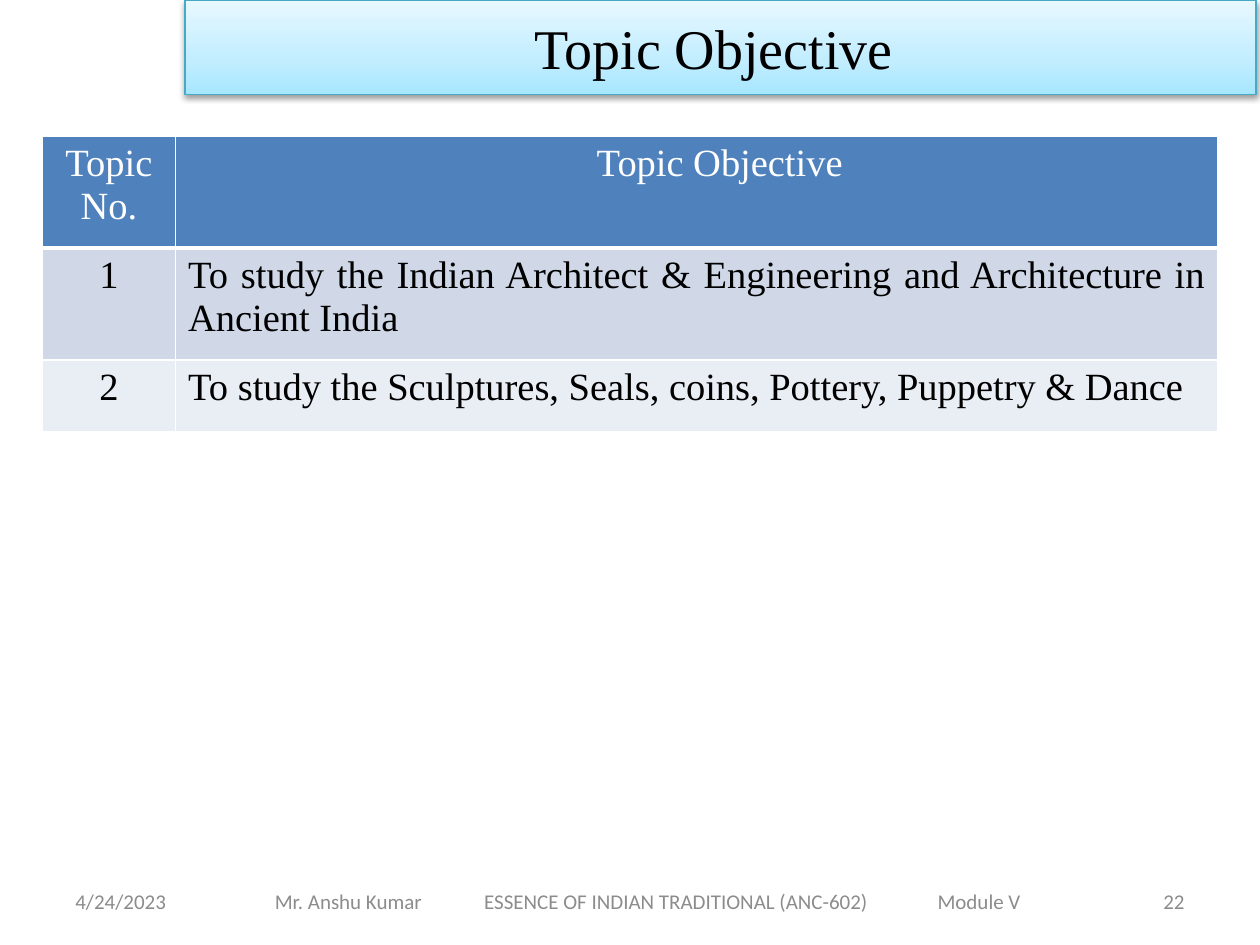
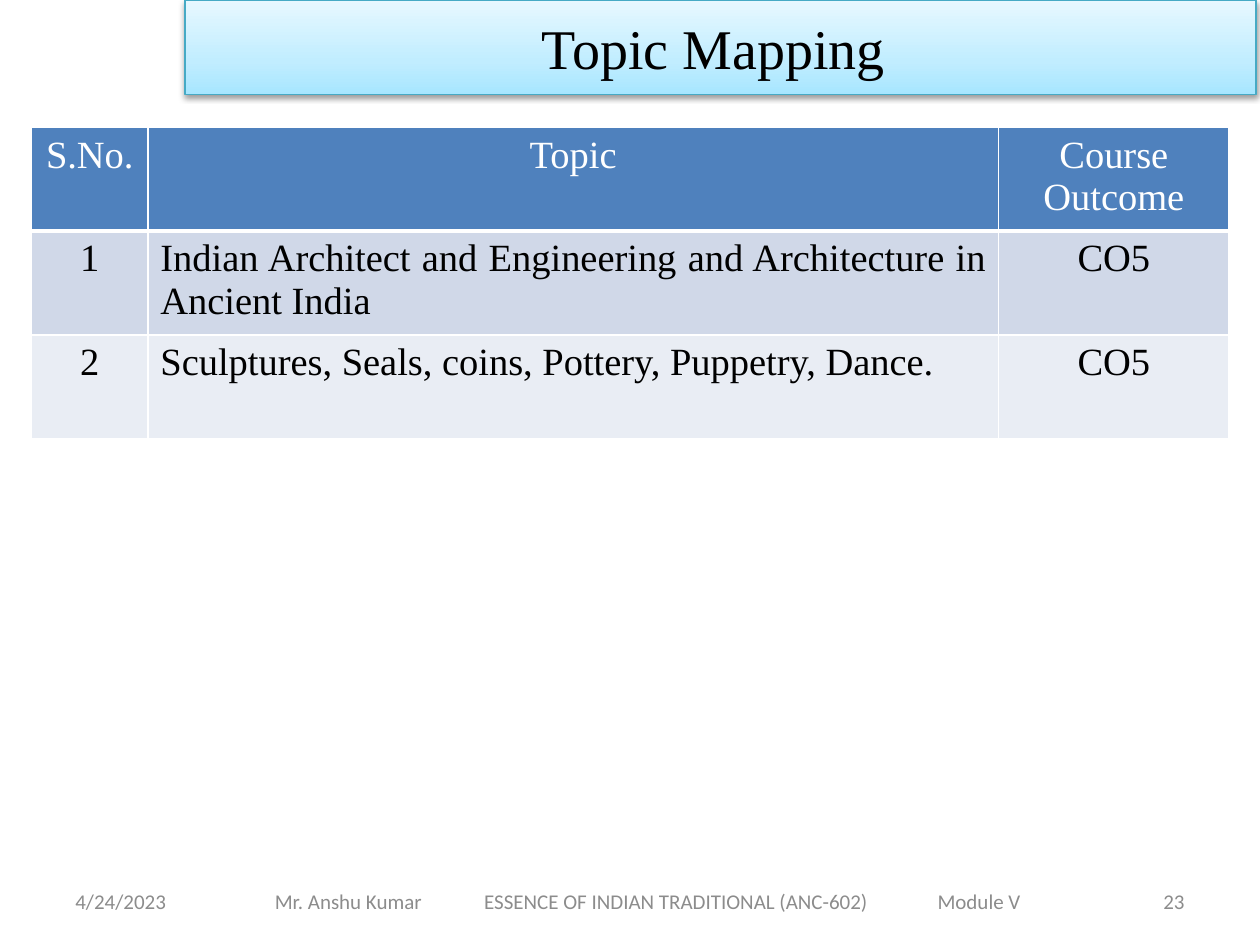
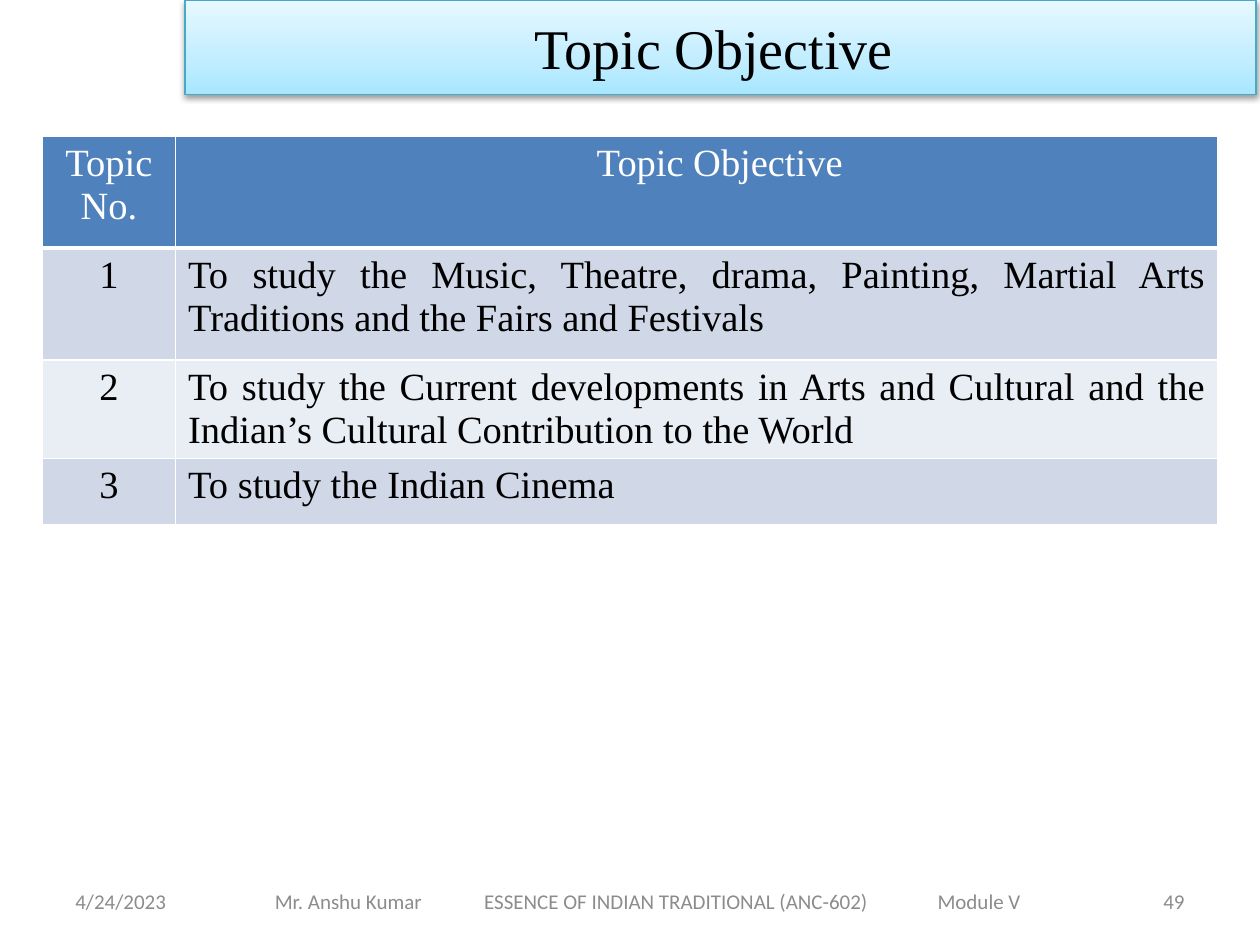
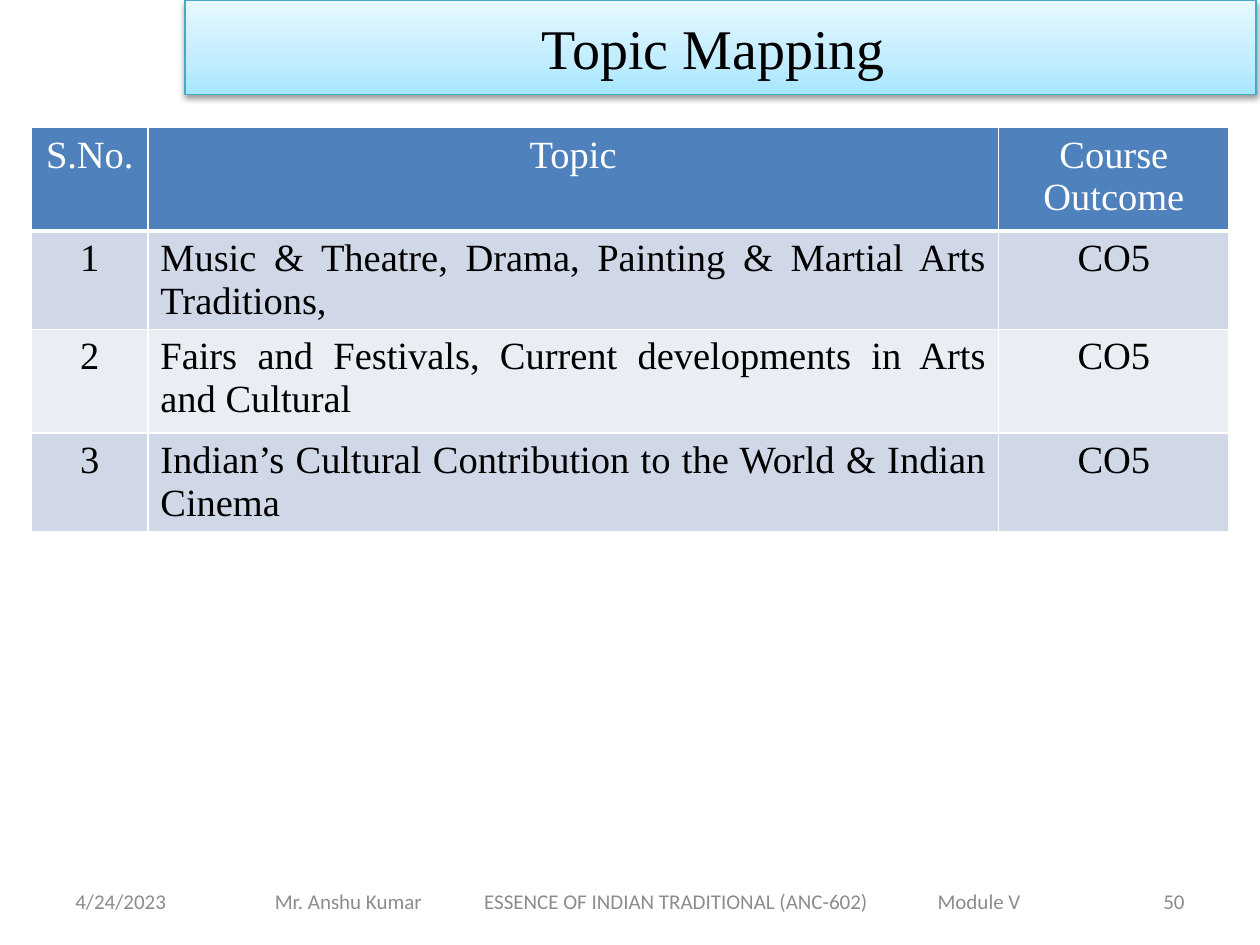
from copy import deepcopy

from lxml.etree import SubElement
from pptx import Presentation
from pptx.dml.color import RGBColor
from pptx.enum.text import MSO_ANCHOR, MSO_AUTO_SIZE, PP_ALIGN
from pptx.oxml.ns import qn
from pptx.util import Cm, Pt

# Shared look
COLORS = {
    "text": "000000", "white": "FFFFFF", "footer": "8C8C8C",
    "header": "4F81BD", "band_odd": "D0D8E8", "band_even": "E9EDF4",
    "title_line": "46AAC5",
}
TITLE_STOPS = [(0, "A7E6FF"), (0.35, "C1EDFF"), (1, "E7F8FF")]
SERIF = "Times New Roman"
TITLE_FONT = {"name": SERIF, "size": Pt(32), "bold": False}
TABLE_FONT = {"name": SERIF, "size": Pt(22), "bold": False}
FOOTER_FONT = {"name": "Calibri", "size": Pt(12)}

# Footer: the three parts of the middle text are set on tab stops
DATE = "4/24/2023"
COURSE = "Mr. Anshu Kumar\tESSENCE OF INDIAN TRADITIONAL (ANC-602)\tModule V"
COURSE_TABS = (4.22, 13.36)

# The two kinds of table; "indent" is the left margin of a header cell
OBJECTIVE = {
    "title": "Topic Objective", "left": 0.85, "top": 2.74,
    "cols": (2.69, 21.01), "header": ("Topic No.", "Topic Objective"),
    "indent": {1: 1.18},
}
MAPPING = {
    "title": "Topic Mapping", "left": 0.64, "top": 2.57,
    "cols": (2.34, 17.15, 4.65), "header": ("S.No.", "Topic", "Course Outcome"),
    "indent": {},
}

# Kind, page number, row heights, topics
SLIDES = [
    (OBJECTIVE, 22, (2.26, 2.26, 1.45), [
        "To study the Indian Architect & Engineering and Architecture in Ancient India",
        "To study the Sculptures, Seals, coins, Pottery, Puppetry & Dance",
    ]),
    (MAPPING, 23, (2.09, 2.09, 2.09), [
        "Indian Architect and Engineering and Architecture in Ancient India",
        "Sculptures, Seals, coins, Pottery, Puppetry, Dance.",
    ]),
    (OBJECTIVE, 49, (2.26, 2.26, 1.98, 1.35), [
        "To study the Music, Theatre, drama, Painting, Martial Arts Traditions "
        "and the Fairs and Festivals",
        "To study the Current developments in Arts and Cultural and the "
        "Indian’s Cultural Contribution to the World",
        "To study the Indian Cinema",
    ]),
    (MAPPING, 50, (2.09, 1.98, 2.09, 1.98), [
        "Music & Theatre, Drama, Painting & Martial Arts Traditions,",
        "Fairs and Festivals, Current developments in Arts and Cultural",
        "Indian’s Cultural Contribution to the World & Indian Cinema",
    ]),
]


def rgb(name):
    return RGBColor.from_string(COLORS[name])


def write(tf, text, fmt, color, align):
    p = tf.paragraphs[0]
    p.alignment = align
    r = p.add_run()
    r.text = text
    for key, value in fmt.items():
        setattr(r.font, key, value)
    r.font.color.rgb = rgb(color)
    return p


def add_title(s, text):
    sp = s.shapes.title
    sp.left, sp.top, sp.width, sp.height = Cm(3.73), Cm(0), Cm(21.59), Cm(1.9)

    # Gradient from bottom to top
    sp.fill.gradient()
    sp.fill.gradient_angle = 90
    first = next(sp._element.spPr.iter(qn("a:gs")))
    first.addnext(deepcopy(first))
    for stop, (position, color) in zip(sp.fill.gradient_stops, TITLE_STOPS):
        stop.position = position
        stop.color.rgb = RGBColor.from_string(color)
    sp.line.color.rgb = rgb("title_line")
    sp.line.width = Pt(0.75)

    # Soft shadow below
    effects = SubElement(sp._element.spPr, qn("a:effectLst"))
    shadow = SubElement(effects, qn("a:outerShdw"), blurRad="40000",
                        dist="20000", dir="5400000", rotWithShape="0")
    color = SubElement(shadow, qn("a:srgbClr"), val=COLORS["text"])
    SubElement(color, qn("a:alpha"), val="38000")

    tf = sp.text_frame
    tf.auto_size = MSO_AUTO_SIZE.NONE
    tf.word_wrap = True
    tf.vertical_anchor = MSO_ANCHOR.MIDDLE
    tf.margin_right = Cm(0.53)
    write(tf, text, TITLE_FONT, "text", PP_ALIGN.CENTER)


def add_footer_text(s, left, width, text, align=PP_ALIGN.LEFT, inset=0.25, tabs=()):
    sp = s.shapes.add_textbox(Cm(left), Cm(17.65), Cm(width), Cm(1.02))
    tf = sp.text_frame
    tf.word_wrap = True
    tf.vertical_anchor = MSO_ANCHOR.MIDDLE
    tf.margin_left = Cm(inset)
    if tabs:
        tab_list = SubElement(tf.paragraphs[0]._p.get_or_add_pPr(), qn("a:tabLst"))
        for tab in tabs:
            SubElement(tab_list, qn("a:tab"), pos=str(Cm(tab)), algn="l")
    write(tf, text, FOOTER_FONT, "footer", align)


def add_footer(s, number):
    add_footer_text(s, 1.27, 5.92, DATE)
    add_footer_text(s, 4.45, 17.35, COURSE, inset=1.09, tabs=COURSE_TABS)
    add_footer_text(s, 21.59, 2.54, str(number), PP_ALIGN.RIGHT)


def set_borders(cell, bottom):
    tcPr = cell._tc.get_or_add_tcPr()
    for side, width in (("L", 1), ("R", 1), ("T", 1), ("B", bottom)):
        ln = SubElement(tcPr, qn(f"a:ln{side}"), w=str(Pt(width)))
        fill = SubElement(ln, qn("a:solidFill"))
        SubElement(fill, qn("a:srgbClr"), val=COLORS["white"])


def add_topic_table(s, kind, heights, topics):
    cols = kind["cols"]
    # Topics are numbered; the last column of a mapping is the outcome
    rows = [kind["header"]]
    rows += [(str(n), topic, "CO5")[:len(cols)] for n, topic in enumerate(topics, 1)]
    frame = s.shapes.add_table(len(rows), len(cols), Cm(kind["left"]), Cm(kind["top"]),
                               Cm(sum(cols)), Cm(sum(heights)))
    table = frame.table
    for column, width in zip(table.columns, cols):
        column.width = Cm(width)
    for i, (row, height, texts) in enumerate(zip(table.rows, heights, rows)):
        row.height = Cm(height)
        is_header = i == 0
        fill = "header" if is_header else "band_odd" if i % 2 else "band_even"
        for j, (cell, text) in enumerate(zip(row.cells, texts)):
            set_borders(cell, bottom=3 if is_header else 1)
            cell.fill.solid()
            cell.fill.fore_color.rgb = rgb(fill)
            if is_header and j in kind["indent"]:
                cell.margin_left = Cm(kind["indent"][j])
            is_topic = j == 1 and not is_header
            write(cell.text_frame, text, TABLE_FONT, "white" if is_header else "text",
                  PP_ALIGN.JUSTIFY if is_topic else PP_ALIGN.CENTER)


def main():
    prs = Presentation()
    prs.slide_width, prs.slide_height = Cm(25.4), Cm(19.05)
    for kind, number, heights, topics in SLIDES:
        s = prs.slides.add_slide(prs.slide_layouts.get_by_name("Title Only"))
        add_title(s, kind["title"])
        add_topic_table(s, kind, heights, topics)
        add_footer(s, number)
    prs.save("out.pptx")


if __name__ == "__main__":
    main()
